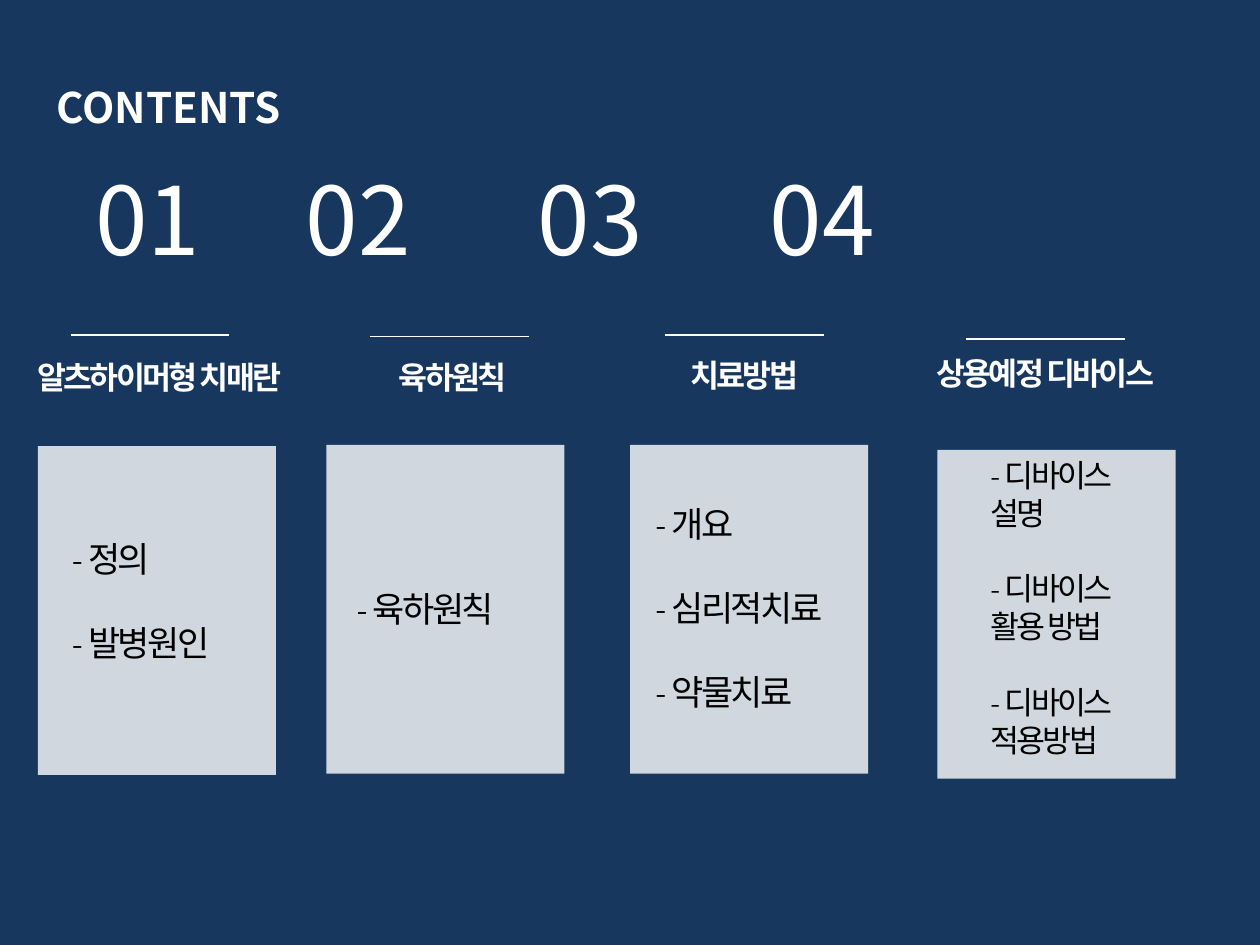
from pptx import Presentation, util as u
from pptx.dml.color import RGBColor
from pptx.enum import shapes, text
from pptx.oxml.ns import qn
from lxml import etree

# Content: heading, items
title = "CONTENTS"
parts = [
    ("알츠하이머형 치매란", ["- 정의", "- 발병원인"]),
    ("육하원칙", ["- 육하원칙"]),
    ("치료방법", ["- 개요", "- 심리적치료", "- 약물치료"]),
    ("상용예정 디바이스", ["- 디바이스 설명", "- 디바이스 활용 방법", "- 디바이스 적용방법"]),
]

# Places per column: card (x, y), rule (x, y), heading (x, y, w), list (x, y, w, h, size)
spots = [
    dict(card=(0.3, 3.54), rule=(0.56, 2.66), head=(0.07, 2.79, 2.39), list=(0.47, 4.22, 1.5, 1.78, 20)),
    dict(card=(2.59, 3.53), rule=(2.94, 2.67), head=(2.69, 2.79, 1.81), list=(2.73, 4.61, 1.5, 0.44, 20)),
    dict(card=(5, 3.53), rule=(5.28, 2.66), head=(5, 2.78, 1.81), list=(5.1, 3.94, 1.89, 1.78, 20)),
    dict(card=(7.44, 3.57), rule=(7.67, 2.69), head=(7.1, 2.76, 2.39), list=(7.76, 3.57, 1.46, 2.52, 18)),
]
card_w, card_h, rule_w = 1.89, 2.61, 1.26
tabs = [0.34, 2.01, 3.85, 5.69]

theme = dict(back="17375E", light="FFFFFF", dark="000000", alpha=80,
             sans="Noto Sans CJK KR", head="Arial", body="Cambria",
             title=24, number=54, label=18, tight=-1.5)


def color(key):
    return RGBColor.from_string(theme[key])


def write(box, lines, font, size, ink="light", bold=False, mid=False, tight=False):
    shape = slide.shapes.add_textbox(*map(u.Inches, box))
    frame = shape.text_frame
    frame.word_wrap = True
    frame.auto_size = text.MSO_AUTO_SIZE.SHAPE_TO_FIT_TEXT
    frame.text = "\n".join(lines)
    for i, para in enumerate(frame.paragraphs):
        if mid:
            para.alignment = text.PP_ALIGN.CENTER
        if i:
            para.space_before = u.Pt(size * 1.2)
        for run in para.runs:
            run.font.name = theme[font]
            run.font.size = u.Pt(size)
            run.font.bold = bold
            run.font.color.rgb = color(ink)
            if tight:
                run.font._element.set("spc", str(int(theme["tight"] * 100)))
    return frame


def card(x, y):
    shape = slide.shapes.add_shape(shapes.MSO_SHAPE.RECTANGLE,
                                   *map(u.Inches, (x, y, card_w, card_h)))
    shape.shadow.inherit = False
    shape.line.fill.background()
    shape.fill.solid()
    shape.fill.fore_color.rgb = color("light")
    tint = shape._element.spPr.find(".//" + qn("a:srgbClr"))
    etree.SubElement(tint, qn("a:alpha")).set("val", str(theme["alpha"] * 1000))


def rule(x, y):
    line = slide.shapes.add_connector(shapes.MSO_CONNECTOR.STRAIGHT,
                                      *map(u.Inches, (x, y, x + rule_w, y)))
    line.line.color.rgb = color("light")
    line.line.width = u.Pt(0.75)
    etree.SubElement(line._element.spPr, qn("a:effectLst"))


deck = Presentation()
deck.slide_width, deck.slide_height = u.Inches(10), u.Inches(7.5)
slide = deck.slides.add_slide(deck.slide_layouts[6])
slide.background.fill.solid()
slide.background.fill.fore_color.rgb = color("back")

# Title and numbers on tab stops
write((0.35, 0.6, 4.57, 0.5), [title], "sans", theme["title"], bold=True)
row = "".join(f"\t{n:02}" for n in range(1, len(parts) + 1))
frame = write((0.32, 1.23, 9.57, 1.01), [row], "sans", theme["number"])
stops = etree.SubElement(frame.paragraphs[0]._p.get_or_add_pPr(), qn("a:tabLst"))
for x in tabs:
    stop = etree.SubElement(stops, qn("a:tab"))
    stop.set("pos", str(u.Inches(x)))
    stop.set("algn", "l")

# Columns
for (head, items), spot in zip(parts, spots):
    card(*spot["card"])
    rule(*spot["rule"])
    write((*spot["head"], 0.4), [head], "head", theme["label"], bold=True, mid=True, tight=True)
    *box, size = spot["list"]
    write(box, items, "body", size, ink="dark", tight=True)

deck.save("out.pptx")
